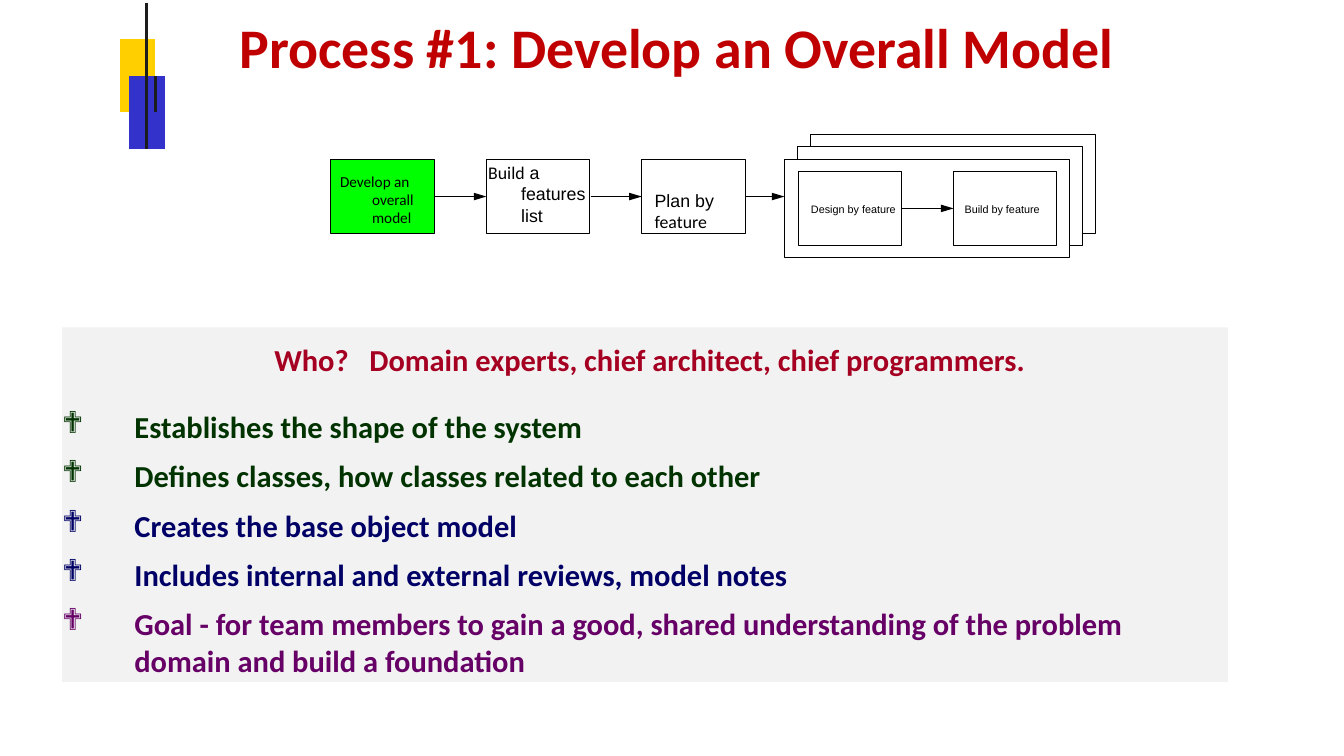
from dataclasses import dataclass

from lxml.etree import SubElement
from pptx import Presentation
from pptx.dml.color import RGBColor
from pptx.enum.shapes import MSO_CONNECTOR, MSO_SHAPE
from pptx.enum.text import MSO_ANCHOR, MSO_AUTO_SIZE, PP_ALIGN
from pptx.oxml.ns import qn
from pptx.util import Inches, Pt

BLACK = RGBColor(0x00, 0x00, 0x00)
WHITE = RGBColor(0xFF, 0xFF, 0xFF)
LIME = RGBColor(0x00, 0xFF, 0x00)
GREY = RGBColor(0xF2, 0xF2, 0xF2)
RED = RGBColor(0xC0, 0x00, 0x00)
WINE = RGBColor(0xA5, 0x00, 0x21)
GREEN = RGBColor(0x00, 0x33, 0x00)
NAVY = RGBColor(0x00, 0x00, 0x66)
PLUM = RGBColor(0x66, 0x00, 0x66)
GOLD = RGBColor(0xFF, 0xCF, 0x00)
BLUE = RGBColor(0x33, 0x33, 0xCC)
INK = RGBColor(0x1C, 0x1C, 0x1C)

PLAIN = "{2D5ABB26-0587-4C30-8999-92F81FD0307C}"  # table style without grid
BOX_W, BOX_H, STEP = 1.13, 0.81, 1.7
ROW_X, ROW_Y = 3.62, 1.74
FRAME_W, FRAME_H = 3.12, 1.08


@dataclass
class Label:
    runs: list[tuple[str, str]]
    x: float
    y: float
    w: float
    h: float
    size: float
    left: float = 0
    first: float = 0
    top: float = 0.01


@dataclass
class Point:
    text: str
    color: RGBColor
    before: float = 10


LABELS = [
    Label([("Develop an overall model", "Calibri")],
          3.68, 1.87, 1.13, 0.63, 12, 0.39, -0.35),
    Label([("Build", "Calibri"), (" a features list", "Arial")],
          5.21, 1.76, 1.34, 0.73, 14, 0.49, -0.36),
    Label([("Plan by ", "Arial"), ("feature", "Calibri")],
          7.02, 2.05, 1.14, 0.49, 14, 0.14, top=0.02),
]

POINTS = [
    Point("Establishes the shape of the system", GREEN, 24),
    Point("Defines classes, how classes related to each other", GREEN),
    Point("Creates the base object model", NAVY),
    Point("Includes internal and external reviews, model notes", NAVY),
    Point("Goal - for team members to gain a good, shared understanding "
          "of the problem domain and build a foundation", PLUM),
]

TABLE_FILLS = [
    [None, None, None, None],
    [GOLD, GOLD, GOLD, None],
    [GOLD, BLUE, BLUE, BLUE],
    [None, BLUE, BLUE, BLUE],
]
MERGES = [(0, 0), (0, 2), (1, 0), (3, 2)]


def write(para, runs, size, color=BLACK, bold=False, align=PP_ALIGN.LEFT,
          left=0.0, first=0.0, before=0.0, lines=1.0, bullet="") -> None:
    """Fill a paragraph with (text, font) runs."""
    props = para._p.get_or_add_pPr()
    props.set("marL", str(Inches(left)))
    props.set("indent", str(Inches(first)))
    if bullet:
        tint = SubElement(props, qn("a:buClr"))
        SubElement(tint, qn("a:srgbClr")).set("val", str(color))
        SubElement(props, qn("a:buFont")).set("typeface", "Wingdings")
        SubElement(props, qn("a:buChar")).set("char", bullet)
    para.alignment = align
    para.line_spacing = lines
    para.space_before = Pt(before)
    for text, name in runs:
        run = para.add_run()
        run.text = text
        run.font.name = name
        run.font.size = Pt(size)
        run.font.bold = bold
        run.font.color.rgb = color


def frame(shape, top=0.0, right=0.0, anchor=MSO_ANCHOR.TOP):
    """Set up the text frame of a shape and return it."""
    text = shape.text_frame
    text.auto_size = MSO_AUTO_SIZE.NONE
    text.word_wrap = True
    text.vertical_anchor = anchor
    text.margin_left = text.margin_bottom = 0
    text.margin_top, text.margin_right = Inches(top), Inches(right)
    return text


def box(slide, x: float, y: float, w: float, h: float, fill=WHITE, line=0.0):
    shape = slide.shapes.add_shape(
        MSO_SHAPE.RECTANGLE, Inches(x), Inches(y), Inches(w), Inches(h))
    shape.shadow.inherit = False
    shape.fill.solid()
    shape.fill.fore_color.rgb = fill
    if line:
        shape.line.color.rgb = BLACK
        shape.line.width = Pt(line)
    else:
        shape.line.fill.background()
    return shape


def arrow(slide, start: float, end: float, y: float) -> None:
    link = slide.shapes.add_connector(
        MSO_CONNECTOR.STRAIGHT, Inches(start), Inches(y), Inches(end), Inches(y))
    link.line.color.rgb = BLACK
    link.line.width = Pt(0.75)
    tip = SubElement(link.line._get_or_add_ln(), qn("a:tailEnd"))
    for key, value in (("type", "triangle"), ("w", "med"), ("len", "lg")):
        tip.set(key, value)
    SubElement(link._element.spPr, qn("a:effectLst"))


def edge(cell, side: str, shown: bool) -> None:
    """Show or clear one border of a cell; side is lnL or lnR."""
    props = cell._tc.get_or_add_tcPr()
    line = props.makeelement(qn(f"a:{side}"), {"w": str(Pt(2.6) if shown else 0)})
    if shown:
        fill = SubElement(line, qn("a:solidFill"))
        SubElement(fill, qn("a:srgbClr")).set("val", str(INK))
    else:
        SubElement(line, qn("a:noFill"))
    props.insert(0, line)


def add_mark(slide) -> None:
    """Draw the coloured table at the top left."""
    shape = slide.shapes.add_table(
        4, 4, Inches(1.31), Inches(0.03), Inches(0.49), Inches(1.6))
    grid = shape.table
    grid._tbl.tblPr.find(qn("a:tableStyleId")).text = PLAIN
    grid.first_row = grid.horz_banding = False
    for col, width in zip(grid.columns, (0.1, 0.19, 0.1, 0.1)):
        col.width = Inches(width)
    for r, fills in enumerate(TABLE_FILLS):
        grid.rows[r].height = Inches(0.4)
        ruled = {2, 3} if r == 2 else {2}
        for c, color in enumerate(fills):
            cell = grid.cell(r, c)
            cell.margin_left = cell.margin_right = 0
            cell.margin_top = cell.margin_bottom = 0
            if color is None:
                cell.fill.background()
            else:
                cell.fill.solid()
                cell.fill.fore_color.rgb = color
            edge(cell, "lnR", c + 1 in ruled or (r, c) in MERGES and c + 2 in ruled)
            edge(cell, "lnL", c in ruled)
    for r, c in MERGES:
        grid.cell(r, c).merge(grid.cell(r, c + 1))


def add_title(slide) -> None:
    title = slide.shapes.title
    title.left, title.top = Inches(2.61), Inches(0.24)
    title.width, title.height = Inches(11.58), Inches(0.64)
    write(frame(title, 0.01).paragraphs[0],
          [("Process #1: Develop an Overall Model", "Calibri")],
          44, RED, bold=True, left=0.01, lines=0.85)


def add_body(slide) -> None:
    text = frame(box(slide, 0.68, 3.58, 12.75, 3.88, GREY), 0.15, 0.1)
    who = text.paragraphs[0]
    parts = "Who?", " ", "Domain experts, chief architect, chief programmers."
    write(who, [(part, "Calibri") for part in parts],
          24, WINE, bold=True, align=PP_ALIGN.CENTER, left=0.2)
    who.runs[1]._r.get_or_add_rPr().set("spc", "1080")
    for point in POINTS:
        write(text.add_paragraph(), [(point.text, "Calibri")], 24, point.color,
              bold=True, left=0.79, first=-0.79, before=point.before, bullet="❖")


def add_flow(slide) -> None:
    for i in range(3):
        box(slide, 8.86 - 0.14 * i, 1.47 + 0.135 * i, FRAME_W, FRAME_H, line=0.78)
    for i, label in enumerate(LABELS):
        box(slide, ROW_X + STEP * i, ROW_Y, BOX_W, BOX_H,
            WHITE if i else LIME, 0.75)
        note = slide.shapes.add_textbox(
            Inches(label.x), Inches(label.y), Inches(label.w), Inches(label.h))
        write(frame(note, label.top).paragraphs[0], label.runs, label.size,
              left=label.left, first=label.first)
    for x, pad, left, name in ((8.73, 0.14, 0, "Design by feature"),
                               (10.43, 0.01, 0.11, "Build by feature")):
        box(slide, x, 1.88, BOX_W, BOX_H, line=0.75)
        cover = box(slide, x + pad, 1.89, BOX_W - pad - 0.01, 0.47)
        write(frame(cover, anchor=MSO_ANCHOR.BOTTOM).paragraphs[0],
              [(name, "Arial")], 8.5, left=left)
    for start, end, y in ((4.76, 5.32, 2.15), (6.46, 7.02, 2.15),
                          (8.16, 8.58, 2.15), (9.86, 10.43, 2.28)):
        arrow(slide, start, end, y)


def main() -> None:
    deck = Presentation()
    deck.slide_width, deck.slide_height = Inches(14.7), Inches(8.27)
    slide = deck.slides.add_slide(deck.slide_layouts[5])
    add_title(slide)
    add_body(slide)
    add_flow(slide)
    add_mark(slide)
    deck.save("out.pptx")


if __name__ == "__main__":
    main()
